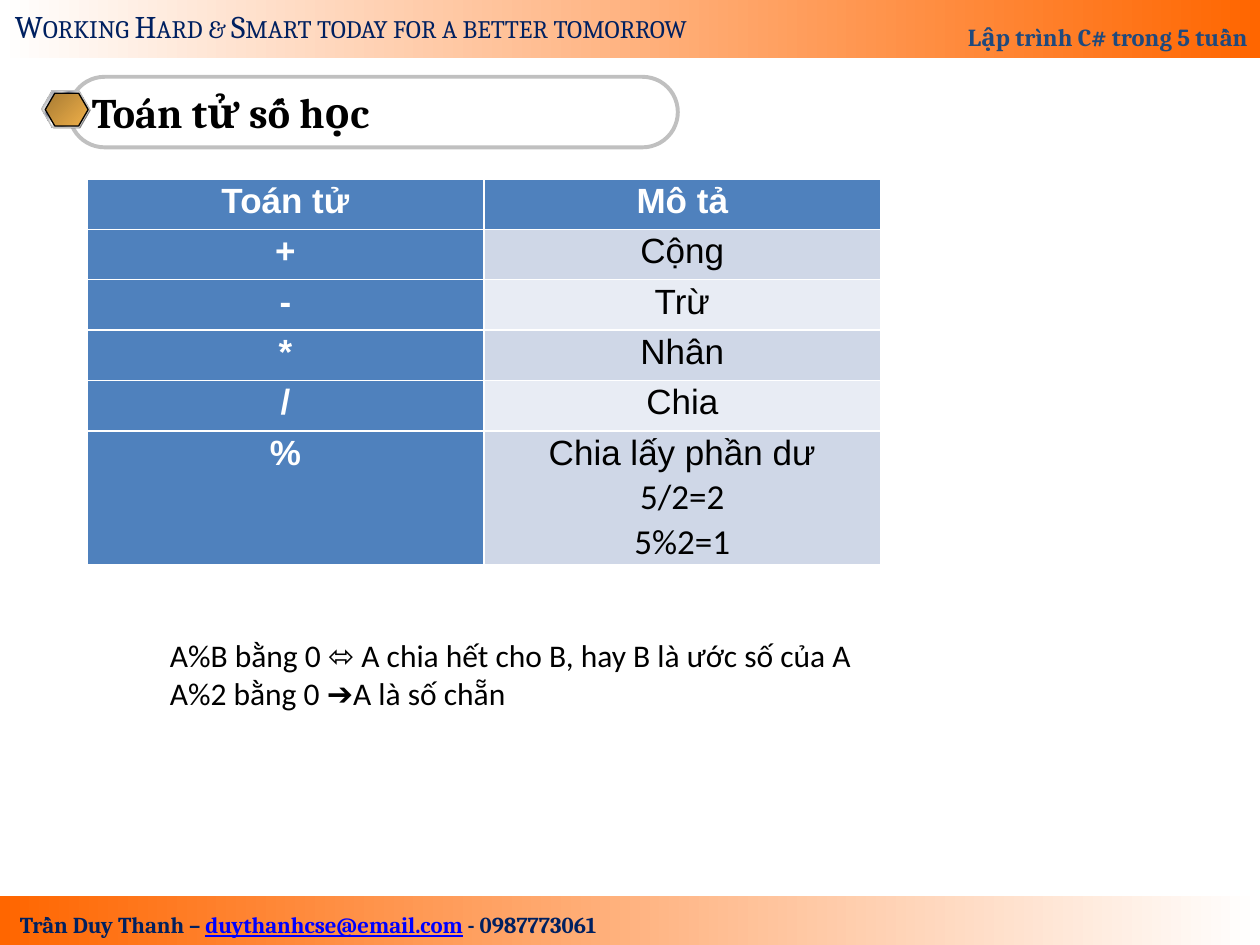
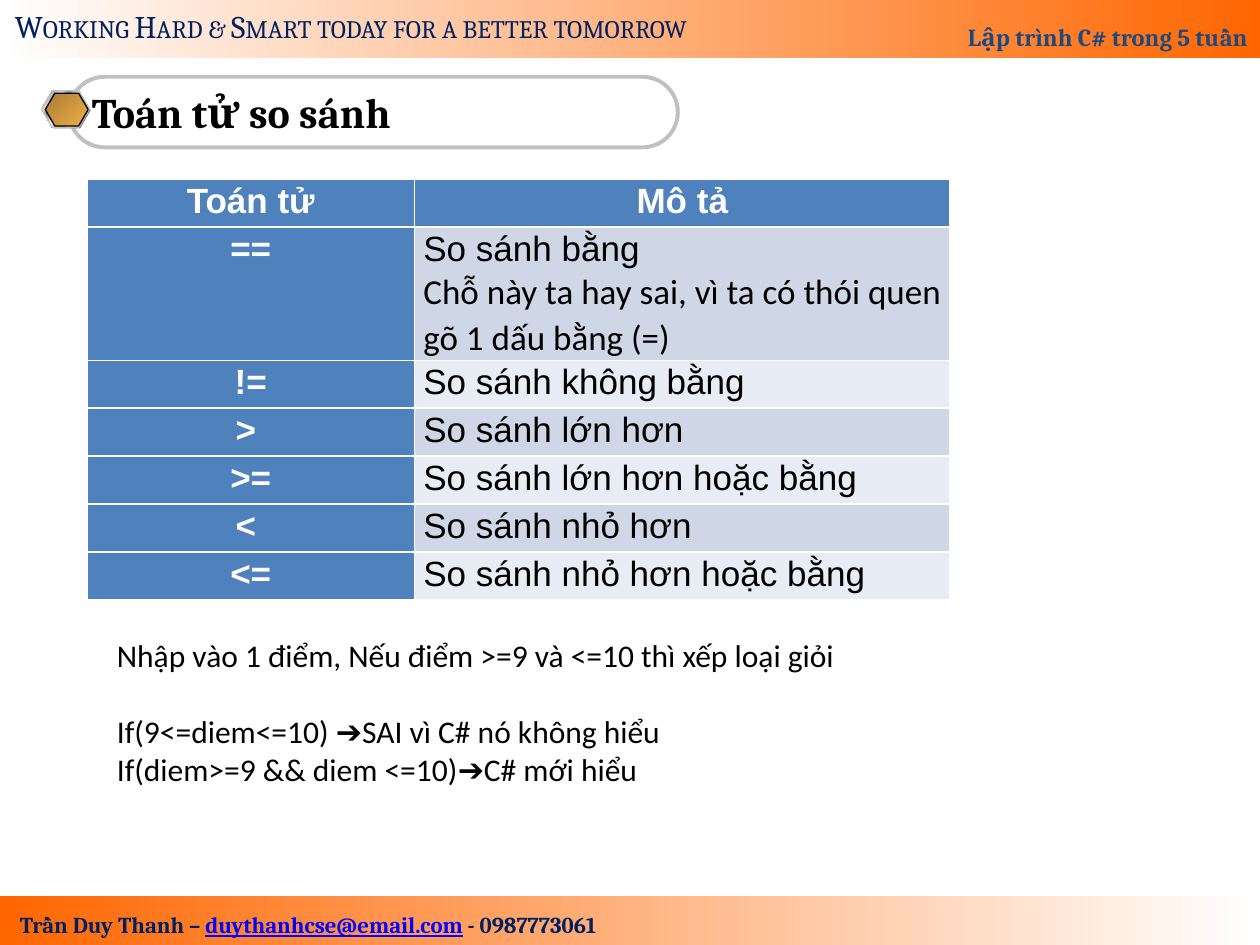
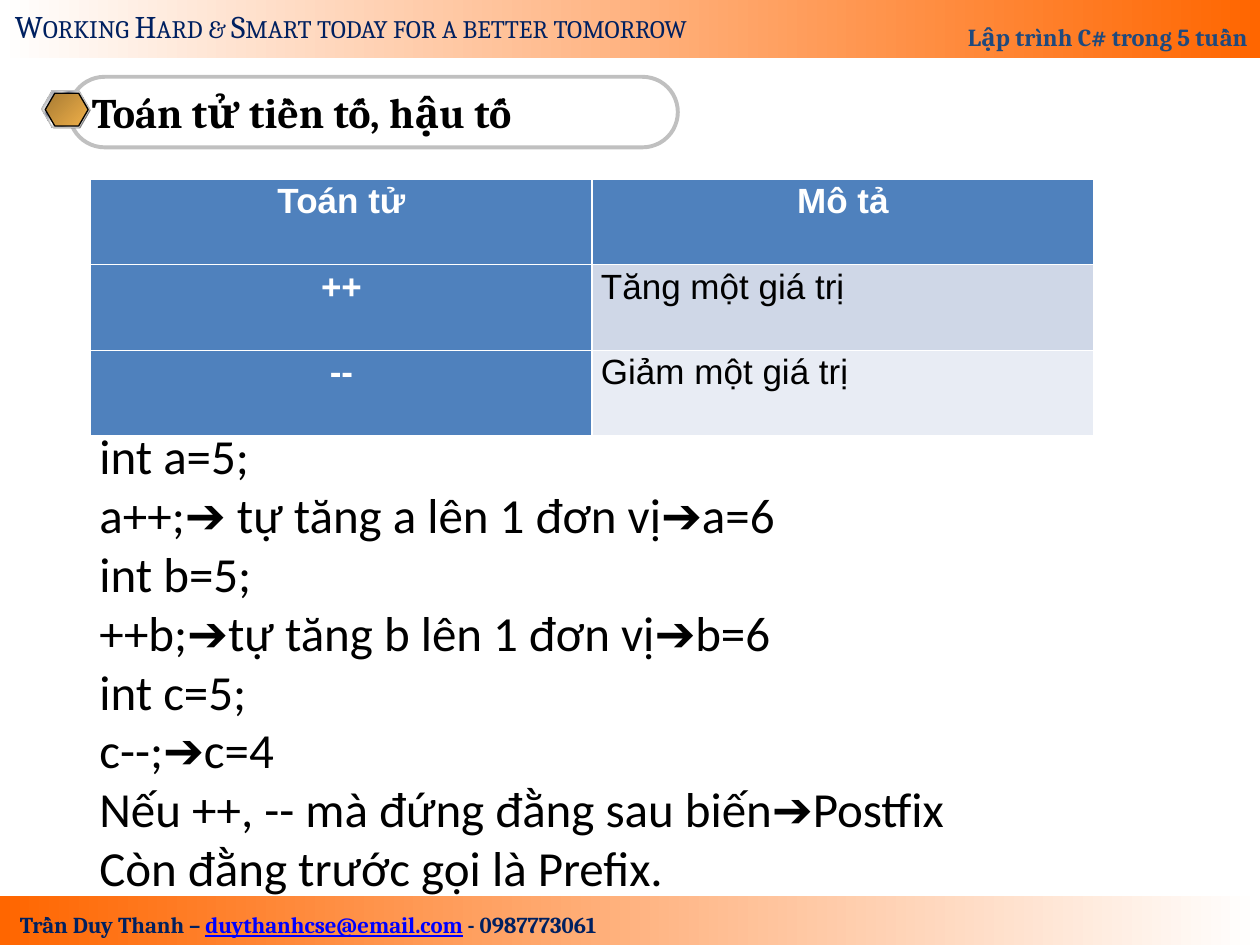
from lxml import etree
from pptx import Presentation
from pptx.dml.color import RGBColor
from pptx.enum.shapes import MSO_SHAPE
from pptx.enum.text import MSO_ANCHOR, MSO_AUTO_SIZE, PP_ALIGN
from pptx.oxml.ns import qn
from pptx.util import Inches, Pt

RECT, PILL, HEX = MSO_SHAPE.RECTANGLE, MSO_SHAPE.ROUNDED_RECTANGLE, MSO_SHAPE.HEXAGON
LEFT, MID, RIGHT, FULL = PP_ALIGN.LEFT, PP_ALIGN.CENTER, PP_ALIGN.RIGHT, PP_ALIGN.JUSTIFY
MIDDLE, BOTTOM = MSO_ANCHOR.MIDDLE, MSO_ANCHOR.BOTTOM
FIXED = MSO_AUTO_SIZE.NONE

WHITE = RGBColor(0xFF, 0xFF, 0xFF)
BLACK = RGBColor(0x00, 0x00, 0x00)
ORANGE = RGBColor(0xFF, 0x66, 0x00)
NAVY = RGBColor(0x00, 0x20, 0x60)
BLUE = RGBColor(0x1F, 0x49, 0x7D)
LINK = RGBColor(0x00, 0x00, 0xFF)
SILVER = RGBColor(0xC0, 0xC0, 0xC0)
GRAY = RGBColor(0x80, 0x80, 0x80)
PALE = RGBColor(0xE6, 0xE6, 0xE6)
STEEL = RGBColor(0x7D, 0x84, 0x96)
BRONZE = RGBColor(0xA8, 0x7B, 0x33)
GOLD = RGBColor(0xEF, 0xB0, 0x49)
HEAD = RGBColor(0x4F, 0x81, 0xBD)
BANDS = [RGBColor(0xE8, 0xEC, 0xF4), RGBColor(0xCF, 0xD7, 0xE7)]

COURSE = {"name": "Cambria", "size": Pt(14), "bold": True, "ink": BLUE}
AUTHOR = {"name": "Cambria", "size": Pt(13), "bold": True, "ink": NAVY}
MOTTO = {"name": "Cambria", "size": Pt(18), "ink": NAVY}
TITLE = {"name": "Cambria", "size": Pt(24), "bold": True, "ink": BLACK}
KEY = {"name": "Arial", "size": Pt(20), "bold": True, "ink": WHITE}
TERM = {"name": "Arial", "size": Pt(20), "bold": False, "ink": BLACK}
NOTE = {"name": "Calibri", "ink": BLACK}


def write(frame, lines, look, form):
    frame.word_wrap = True
    for num, line in enumerate(lines):
        para = frame.add_paragraph() if num else frame.paragraphs[0]
        for key, val in form.items():
            setattr(para, key, val)
        for text in line if isinstance(line, tuple) else (line,):
            run = para.add_run()
            run.text = text
            for key, val in look.items():
                if key == "ink":
                    run.font.color.rgb = val
                else:
                    setattr(run.font, key, val)


def draw(kind, box, fill, angle=0, line=None, width=0.75):
    shape = first.shapes.add_shape(kind, *map(Inches, box))
    shape.shadow.inherit = False
    if isinstance(fill, list):
        shape.fill.gradient()
        shape.fill.gradient_angle = angle
        stops = shape.element.find(".//" + qn("a:gsLst"))
        for old in list(stops):
            stops.remove(old)
        for pos, tone in fill:
            stop = etree.SubElement(stops, qn("a:gs"), pos=str(pos * 1000))
            etree.SubElement(stop, qn("a:srgbClr"), val=str(tone))
    elif fill:
        shape.fill.solid()
        shape.fill.fore_color.rgb = fill
    else:
        shape.fill.background()
    if line:
        shape.line.color.rgb = line
        shape.line.width = Pt(width)
    else:
        shape.line.fill.background()
    return shape


deck = Presentation()
deck.slide_width, deck.slide_height = Inches(10), Inches(7.5)
layout = deck.slide_layouts[5]
first = deck.slides.add_slide(layout)

base = draw(RECT, (0, 7.11, 10, 0.39), [(0, ORANGE), (100, WHITE)])
top = draw(RECT, (0, 0, 10, 0.46), [(0, WHITE), (100, ORANGE)])
top.text_frame.vertical_anchor = BOTTOM
write(top.text_frame, ["Lập trình C# trong 5 tuần"], COURSE,
      {"alignment": RIGHT, "line_spacing": 1.8})

foot = first.shapes.add_textbox(*map(Inches, (-0.08, 7.18, 5.05, 0.32)))
write(foot.text_frame, [("Trần Duy Thanh – ", "duythanhcse@email.com", " - 0987773061")],
      AUTHOR, {"alignment": MID})
mail = foot.text_frame.paragraphs[0].runs[1].font
mail.underline = True
mail.color.rgb = LINK

motto = first.shapes.add_textbox(*map(Inches, (0.02, 0.01, 5.9, 0.4)))
write(motto.text_frame, ["Working Hard & Smart today for a better tomorrow"], MOTTO, {})
motto.element.find(".//" + qn("a:rPr")).set("cap", "small")

pill = draw(PILL, (0.55, 0.61, 4.83, 0.56), None, line=SILVER, width=2.25)
pill.adjustments[0] = 0.5
chrome = [(0, PALE), (7, STEEL), (26, PALE), (34, STEEL), (46, PALE), (50, WHITE),
          (54, PALE), (66, STEEL), (74, PALE), (93, STEEL), (100, PALE)]
gems = [
    draw(HEX, (0.34, 0.73, 0.38, 0.29), GRAY),
    draw(HEX, (0.33, 0.72, 0.38, 0.29), chrome, 315, SILVER),
    draw(HEX, (0.36, 0.74, 0.34, 0.26), [(0, BRONZE), (100, GOLD)], 315, BLACK),
]
for gem in gems:
    gem.adjustments[0] = 0.29
for part in [base, top, foot, motto, pill, *gems]:
    layout.shapes.element.append(part.element)

PAGES = [
    {
        "title": "Toán tử số học",
        "left": 0.69, "cols": (3.15, 3.15), "row": 0.4, "align": MID,
        "rows": [("+", ["Cộng"]), ("-", ["Trừ"]), ("*", ["Nhân"]), ("/", ["Chia"]),
                 ("%", ["Chia lấy phần dư", "5/2=2", "5%2=1"])],
        "box": (1.25, 5, 5.73, 0.71), "size": 18,
        "note": ["A%B bằng 0 ⬄ A chia hết cho B, hay B là ước số của A",
                 "A%2 bằng 0 ➔A là số chẵn"],
    },
    {
        "title": "Toán tử so sánh",
        "left": 0.69, "cols": (2.6, 4.25), "row": 0.38, "align": FULL,
        "rows": [("==", ["So sánh bằng",
                         "Chỗ này ta hay sai, vì ta có thói quen gõ 1 dấu bằng (=)"]),
                 ("!=", ["So sánh không bằng"]),
                 ("> ", ["So sánh lớn hơn"]),
                 (">=", ["So sánh lớn hơn hoặc bằng"]),
                 ("< ", ["So sánh nhỏ hơn"]),
                 ("<=", ["So sánh nhỏ hơn hoặc bằng"])],
        "box": (0.83, 5, 5.97, 1.31), "size": 18, "gap": 1,
        "note": ["Nhập vào 1 điểm, Nếu điểm >=9 và <=10 thì xếp loại giỏi",
                 "If(9<=diem<=10) ➔SAI vì C# nó không hiểu",
                 "If(diem>=9 && diem <=10)➔C# mới hiểu"],
    },
    {
        "title": "Toán tử tiền tố, hậu tố",
        "left": 0.72, "cols": (3.98, 3.98), "row": 0.68, "align": FULL,
        "rows": [("++", ["Tăng một giá trị"]), ("--", ["Giảm một giá trị"])],
        "box": (0.69, 3.33, 7.09, 3.87), "size": 28,
        "note": ["int a=5;", "a++;➔ tự tăng a lên 1 đơn vị➔a=6",
                 "int b=5;", "++b;➔tự tăng b lên 1 đơn vị➔b=6",
                 "int c=5;", "c--;➔c=4",
                 "Nếu ++, -- mà đứng đằng sau biến➔Postfix",
                 "Còn đằng trước gọi là Prefix."],
    },
]

for num, page in enumerate(PAGES):
    slide = deck.slides.add_slide(layout) if num else first
    title = slide.shapes.title
    title.left, title.top, title.width, title.height = map(Inches, (0.63, 0.61, 4.67, 0.56))
    title.text_frame.auto_size = FIXED
    title.text_frame.vertical_anchor = MIDDLE
    write(title.text_frame, [page["title"]], TITLE, {"alignment": LEFT})

    rows = [("Toán tử", ["Mô tả"])] + page["rows"]
    grid = slide.shapes.add_table(
        len(rows), 2, Inches(page["left"]), Inches(1.42),
        Inches(sum(page["cols"])), Inches(page["row"] * len(rows))).table
    grid.first_col = True
    for col, wide in zip(grid.columns, page["cols"]):
        col.width = Inches(wide)
    for r, (sign, terms) in enumerate(rows):
        grid.rows[r].height = Inches(page["row"])
        for c, lines in enumerate([[sign], terms]):
            cell = grid.cell(r, c)
            body = r > 0 and c > 0
            cell.margin_left = cell.margin_right = Inches(0.07)
            cell.margin_top = cell.margin_bottom = 0
            cell.fill.solid()
            cell.fill.fore_color.rgb = BANDS[r % 2] if body else HEAD
            write(cell.text_frame, lines, TERM if body else KEY,
                  {"alignment": page["align"] if body else MID, "line_spacing": 1.07})
            for para in cell.text_frame.paragraphs[1:]:
                para.runs[0].font.name = "Calibri"

    note = slide.shapes.add_textbox(*map(Inches, page["box"])).text_frame
    write(note, page["note"], {**NOTE, "size": Pt(page["size"])}, {})
    if "gap" in page:
        note.paragraphs[page["gap"]].space_before = Pt(22)

deck.save("out.pptx")
